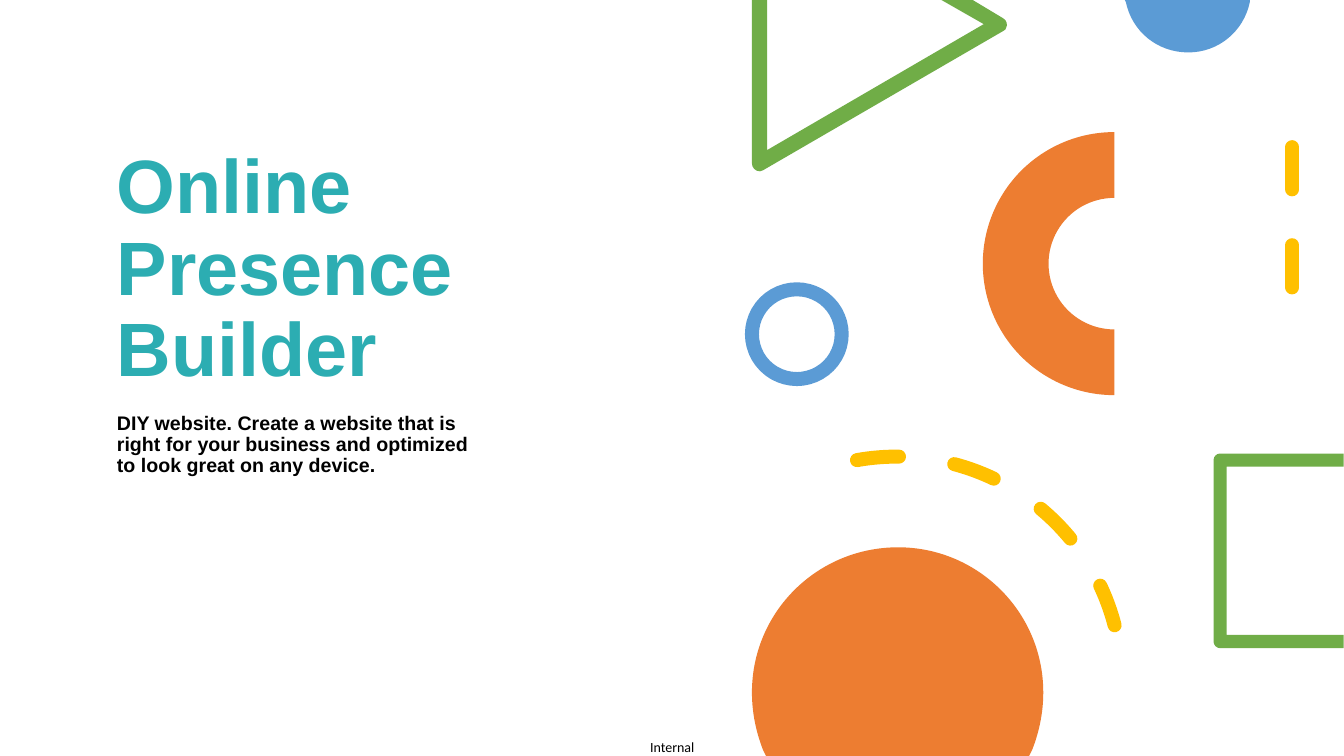
import itertools
from dataclasses import dataclass

import pptx
import pptx.dml.color
import pptx.enum.dml
import pptx.enum.shapes
import pptx.enum.text
import pptx.oxml.ns
import pptx.util
from lxml import etree
from pptx.util import Inches

SHAPE = pptx.enum.shapes.MSO_SHAPE

BLUE_CIRCLE = [(11.16, 0), (12.4, 0), (12.4, 0.02),
               (12.34, 0.31, 12.09, 0.52, 11.79, 0.52),
               (11.48, 0.52, 11.23, 0.31, 11.17, 0.02)]
TRIANGLE = [(7.46, 0), (7.61, 0), (7.61, 1.49), (9.76, 0.24), (9.34, 0), (9.65, 0),
            (9.95, 0.18), (9.99, 0.2, 10, 0.25, 9.98, 0.28),
            (9.98, 0.29, 9.97, 0.3, 9.95, 0.31), (7.57, 1.69),
            (7.56, 1.69, 7.55, 1.7, 7.54, 1.7), (7.49, 1.7, 7.46, 1.66, 7.46, 1.62)]
SQUARE = [(12.1, 4.5), (13.33, 4.5), (13.33, 4.63), (12.17, 4.63), (12.17, 6.3),
          (13.33, 6.3), (13.33, 6.43), (12.1, 6.43),
          (12.07, 6.43, 12.04, 6.4, 12.04, 6.37), (12.04, 4.56),
          (12.04, 4.53, 12.07, 4.5, 12.1, 4.5)]
ORANGE_CIRCLE = [(8.91, 5.43), (9.7, 5.43, 10.35, 6.07, 10.35, 6.87),
                 (10.35, 7.07, 10.31, 7.26, 10.24, 7.44), (10.21, 7.5),
                 (7.6, 7.5), (7.57, 7.44), (7.5, 7.26, 7.46, 7.07, 7.46, 6.87),
                 (7.46, 6.07, 8.11, 5.43, 8.91, 5.43)]


@dataclass(frozen=True)
class Theme:
    """Colours, fonts and sizes of the slide."""
    teal: str = "2CADB2"
    black: str = "000000"
    blue: str = "5B9BD5"
    orange: str = "ED7D31"
    green: str = "70AD47"
    yellow: str = "FFC000"
    font: str = "Arial"
    footer_font: str = "Calibri"
    title_size: int = 54
    body_size: int = 14
    footer_size: int = 10
    stroke: int = 10


THEME = Theme()


def rgb(color):
    """Return the colour object for a hex string."""
    return pptx.dml.color.RGBColor.from_string(color)


def set_text(shape, text, font, size, color, bold=False):
    """Write one left-aligned paragraph and format its run."""
    tf = shape.text_frame
    tf.text = text
    p = tf.paragraphs[0]
    p.alignment = pptx.enum.text.PP_ALIGN.LEFT
    p.space_before = pptx.util.Pt(0)
    r = p.runs[0]
    r.font.name = font
    r.font.size = pptx.util.Pt(size)
    r.font.bold = bold
    r.font.color.rgb = rgb(color)
    return tf


def fill_placeholder(sp, box, text, size, color, anchor):
    """Move a placeholder and give it bold text."""
    sp.left, sp.top, sp.width, sp.height = map(Inches, box)
    tf = set_text(sp, text, THEME.font, size, color, True)
    tf.word_wrap = True
    tf.auto_size = pptx.enum.text.MSO_AUTO_SIZE.NONE
    tf.vertical_anchor = anchor
    tf.paragraphs[0].line_spacing = 0.9


def add_footer(s, box, text):
    """Add the small label at the foot of the slide."""
    sp = s.shapes.add_textbox(*map(Inches, box))
    tf = set_text(sp, text, THEME.footer_font, THEME.footer_size, THEME.black)
    tf.margin_left = tf.margin_right = tf.margin_top = tf.margin_bottom = 0
    tf.word_wrap = False
    tf.auto_size = pptx.enum.text.MSO_AUTO_SIZE.SHAPE_TO_FIT_TEXT


def paint(sp, color):
    """Give a shape a flat fill without outline or shadow."""
    sp.shadow.inherit = False
    sp.fill.solid()
    sp.fill.fore_color.rgb = rgb(color)
    sp.line.fill.background()


def stroke(line, color, dashed=False):
    """Style a thick line, optionally with round dashes."""
    line.color.rgb = rgb(color)
    line.width = pptx.util.Pt(THEME.stroke)
    if dashed:
        line.dash_style = pptx.enum.dml.MSO_LINE.DASH
        line._get_or_add_ln().set("cap", "rnd")


def add_outline(s, kind, box, color, rotation=0, dashed=False):
    """Add an unfilled preset shape with a thick line."""
    sp = s.shapes.add_shape(kind, *map(Inches, box))
    sp.rotation = rotation
    sp.shadow.inherit = False
    sp.fill.background()
    stroke(sp.line, color, dashed)


def add_half_ring(s, box, color):
    """Add the half ring that opens to the right."""
    sp = s.shapes.add_shape(SHAPE.BLOCK_ARC, *map(Inches, box))
    sp.rotation = 270
    paint(sp, color)


def add_dashes(s, start, end, color):
    """Add a straight dashed line."""
    straight = pptx.enum.shapes.MSO_CONNECTOR.STRAIGHT
    line = s.shapes.add_connector(straight, *map(Inches, (*start, *end)))
    stroke(line.line, color, True)
    etree.SubElement(line._element.spPr, pptx.oxml.ns.qn("a:effectLst"))


def add_curved(s, steps, color):
    """Add a filled outline; pairs are line ends, sixes are Bézier curves."""
    qn = pptx.oxml.ns.qn
    numbers = [Inches(n) for n in itertools.chain.from_iterable(steps)]
    points = list(zip(numbers[::2], numbers[1::2]))
    builder = s.shapes.build_freeform(*points[0])
    builder.add_line_segments(points[1:], close=True)
    sp = builder.convert_to_shape()
    segments = iter(list(sp._element.iter(qn("a:lnTo"))))
    for step in steps[1:]:
        segment = next(segments)
        if len(step) == 6:
            segment.tag = qn("a:cubicBezTo")
            for extra in itertools.islice(segments, 2):
                segment.append(extra[0])
                extra.getparent().remove(extra)
    paint(sp, color)


def main():
    """Build the title slide and save it."""
    prs = pptx.Presentation()
    prs.slide_width, prs.slide_height = Inches(40) // 3, Inches(7.5)
    s = prs.slides.add_slide(prs.slide_layouts[0])
    anchor = pptx.enum.text.MSO_ANCHOR
    fill_placeholder(s.shapes.title, (1.06, 1.34, 5.93, 2.61),
                     "Online Presence Builder", THEME.title_size, THEME.teal, anchor.BOTTOM)
    fill_placeholder(s.placeholders[1], (1.06, 4.05, 3.88, 1.81),
                     "DIY website. Create a website that is right for your business "
                     "and optimized to look great on any device.",
                     THEME.body_size, THEME.black, anchor.TOP)
    add_footer(s, (6.45, 7.33, 0.51, 0.17), "Internal")

    add_curved(s, BLUE_CIRCLE, THEME.blue)
    add_outline(s, SHAPE.OVAL, (7.46, 2.87, 0.89, 0.89), THEME.blue)
    add_half_ring(s, (9.75, 1.31, 2.61, 2.61), THEME.orange)
    add_curved(s, TRIANGLE, THEME.green)
    add_dashes(s, (12.82, 1.46), (12.82, 3.2), THEME.yellow)
    add_curved(s, SQUARE, THEME.green)
    add_outline(s, SHAPE.ARC, (6.66, 4.53, 4.47, 4.47), THEME.yellow, 349.9, True)
    add_curved(s, ORANGE_CIRCLE, THEME.orange)
    prs.save("out.pptx")


if __name__ == "__main__":
    main()
